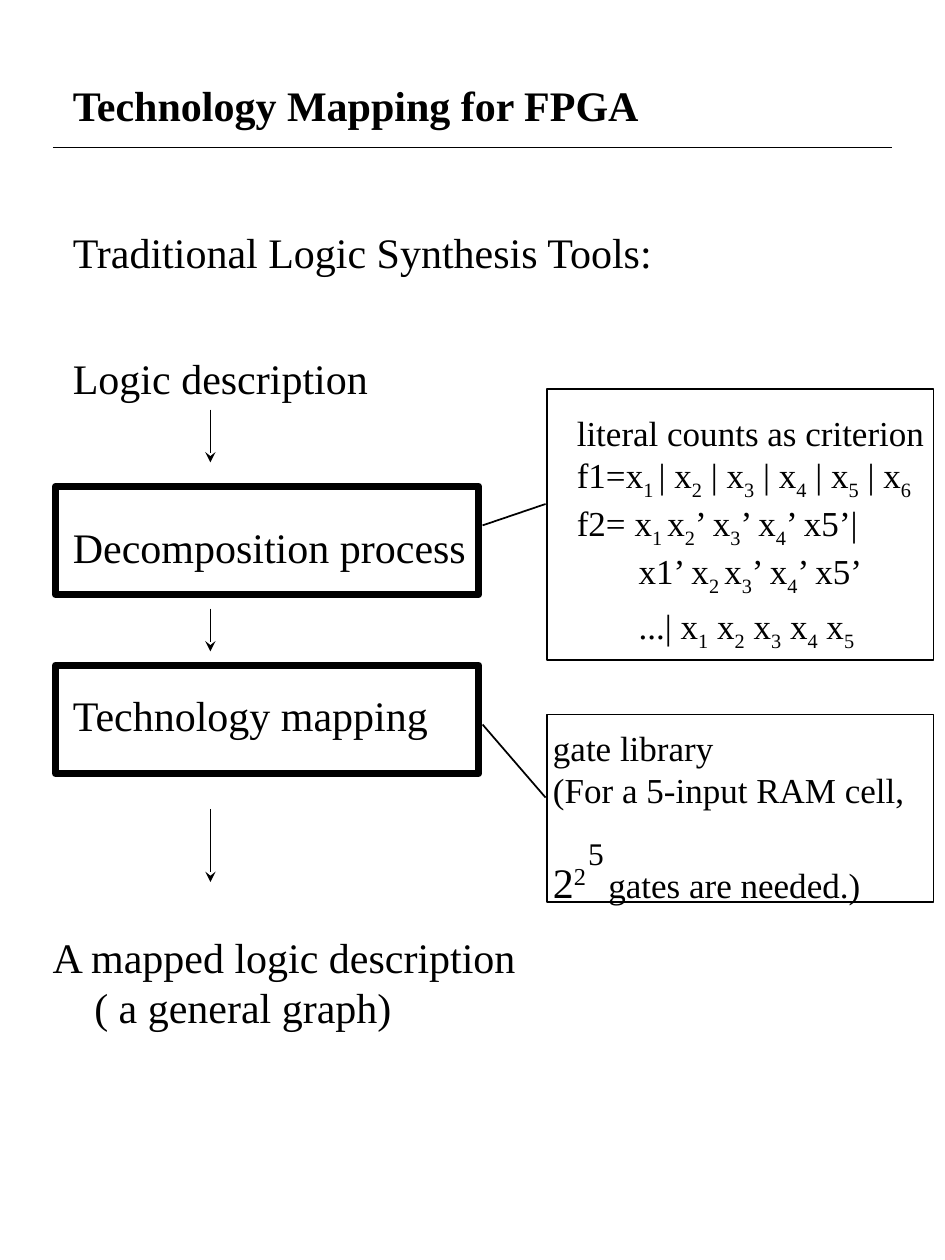
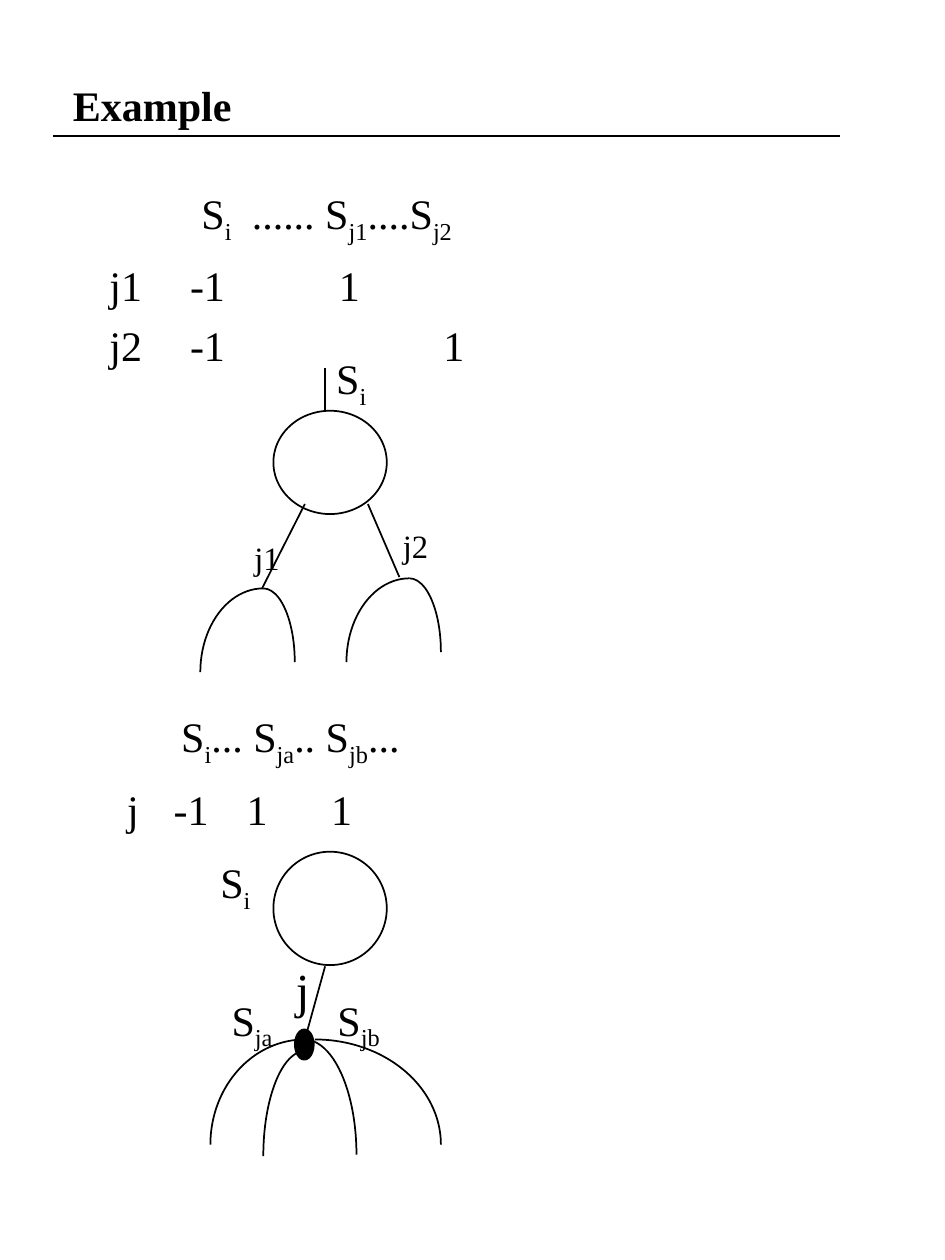
import pptx
import pptx.util
import pptx.dml.color
import pptx.enum.shapes
import pptx.enum.text
import pptx.oxml.ns
from lxml import etree

Inches = pptx.util.Inches
Pt = pptx.util.Pt
qn = pptx.oxml.ns.qn
FONT = "Times New Roman"
HUES = {"ink": "000000", "paper": "FFFFFF"}
INK = pptx.dml.color.RGBColor.from_string(HUES["ink"])
KIND = pptx.enum.shapes.MSO_SHAPE


def write(slide, box, lines, size=24, tabs=(), gaps=(), bold=False):
    frame = slide.shapes.add_textbox(*map(Inches, box)).text_frame
    frame.word_wrap = bool(tabs)
    for row, line in enumerate(lines):
        para = frame.paragraphs[0] if row == 0 else frame.add_paragraph()
        if tabs:
            stops = etree.SubElement(para._p.get_or_add_pPr(), qn("a:tabLst"))
            for tab in tabs:
                etree.SubElement(stops, qn("a:tab"), pos=str(Inches(tab)), algn="l")
        if row < len(gaps) and gaps[row]:
            para.space_before = Pt(gaps[row])
        for part, words in enumerate(line.split("~")):
            if not words:
                continue
            run = para.add_run()
            run.text = words
            run.font.name = FONT
            run.font.size = Pt(size)
            run.font.bold = bold
            run.font.color.rgb = INK
            if part % 2:
                run._r.get_or_add_rPr().set("baseline", "-25000")
    return frame


def link(slide, ends, arrow=False):
    line = slide.shapes.add_connector(
        pptx.enum.shapes.MSO_CONNECTOR.STRAIGHT, *map(Inches, ends))
    line.line.color.rgb = INK
    line.line.width = Pt(1)
    if arrow:
        etree.SubElement(line.line._get_or_add_ln(), qn("a:tailEnd"), type="stealth")
    etree.SubElement(line._element.spPr, qn("a:effectLst"))


deck = pptx.Presentation()
deck.slide_width = Inches(7.5)
deck.slide_height = Inches(10)
flow, tree = [deck.slides.add_slide(deck.slide_layouts[6]) for _ in range(2)]

for slide, title, right, y in [
    (flow, "Technology Mapping for FPGA", 7.08, 1.17),
    (tree, "Example", 6.67, 1.08),
]:
    head = write(slide, (0.48, 0, 6.38, 1.67), [title], bold=True)
    head.vertical_anchor = pptx.enum.text.MSO_ANCHOR.MIDDLE
    link(slide, (0.42, y, right, y))

for slide, kind, box, fill, width in [
    (flow, KIND.RECTANGLE, (4.34, 5.67, 3.07, 1.49), "paper", 1),
    (flow, KIND.RECTANGLE, (4.34, 3.09, 3.07, 2.15), "paper", 1),
    (flow, KIND.RECTANGLE, (0.44, 5.28, 3.36, 0.86), "paper", 4),
    (flow, KIND.RECTANGLE, (0.44, 3.86, 3.36, 0.86), "paper", 4),
    (tree, KIND.OVAL, (2.17, 3.26, 0.9, 0.82), "paper", 1),
    (tree, KIND.OVAL, (2.17, 6.76, 0.9, 0.9), "paper", 1),
    (tree, KIND.OVAL, (2.34, 8.17, 0.15, 0.24), "ink", 1),
]:
    shape = slide.shapes.add_shape(kind, *map(Inches, box))
    shape.shadow.inherit = False
    shape.fill.solid()
    shape.fill.fore_color.rgb = pptx.dml.color.RGBColor.from_string(HUES[fill])
    shape.line.color.rgb = INK
    shape.line.width = Pt(width)

LEFT = (108, 162)
RIGHT = (162, 0)
for box, turn in [
    ((1.59, 4.67, 1, 1.33), LEFT),
    ((1.84, 4.67, 0.5, 1.17), RIGHT),
    ((2.75, 4.59, 1, 1.33), LEFT),
    ((3, 4.59, 0.5, 1.17), RIGHT),
    ((1.67, 8.25, 1.5, 1.67), LEFT),
    ((2, 8.25, 0.83, 1.83), RIGHT),
    ((2.09, 8.34, 0.67, 1.67), LEFT),
    ((1.5, 8.25, 2, 1.67), RIGHT),
]:
    arc = tree.shapes.add_shape(KIND.ARC, *map(Inches, box))
    arc.adjustments[0], arc.adjustments[1] = turn
    arc.shadow.inherit = False
    arc.fill.background()
    arc.line.color.rgb = INK
    arc.line.width = Pt(1)

for top, end in [(3.25, 3.67), (4.83, 5.17), (6.42, 7)]:
    link(flow, (1.67, top, 1.67, end), arrow=True)

for slide, ends in [
    (flow, (3.83, 4.17, 4.33, 4)),
    (flow, (3.83, 5.75, 4.33, 6.33)),
    (tree, (2.58, 2.92, 2.58, 3.25)),
    (tree, (2.42, 4, 2.08, 4.67)),
    (tree, (2.92, 4, 3.17, 4.58)),
    (tree, (2.58, 7.67, 2.42, 8.25)),
]:
    link(slide, ends)

for slide, box, words, size in [
    (flow, (0.48, 1.75, 4.84, 0.5), "Traditional Logic Synthesis Tools:", 24),
    (flow, (0.48, 2.75, 2.54, 0.5), "Logic description", 24),
    (flow, (0.48, 4.09, 3.32, 0.5), "Decomposition process", 24),
    (flow, (0.48, 5.42, 3.04, 0.5), "Technology mapping", 24),
    (flow, (4.57, 6.57, 0.33, 0.4), "5", 18),
    (tree, (2.57, 2.75, 0.44, 0.56), "S~i~", 24),
    (tree, (1.92, 3.92, 0.4, 0.71), "~j1~", 32),
    (tree, (3.1, 3.83, 0.4, 0.71), "~j2~", 32),
    (tree, (1.34, 5.59, 1.94, 0.56), "S~i~... S~ja~.. S~jb~...", 24),
    (tree, (1.65, 6.75, 0.44, 0.56), "S~i~", 24),
    (tree, (1.74, 7.84, 0.53, 0.56), "S~ja~", 24),
    (tree, (2.58, 7.84, 0.54, 0.56), "S~jb~", 24),
    (tree, (2.25, 7.57, 0.31, 0.57), "j", 28),
]:
    write(slide, box, [words], size)

write(flow, (0.32, 7.34, 3.9, 0.9),
      ["A mapped logic description", "\t( a general graph)"], tabs=[0.33])
write(flow, (4.48, 3.22, 3, 2.01), [
    "literal counts as criterion",
    "f1=x~1 ~| x~2~ | x~3~ | x~4~ | x~5~ | x~6~",
    "f2= x~1 ~x~2~’ x~3~’ x~4~’ x5’|",
    "\tx1’ x~2 ~x~3~’ x~4~’ x5’",
    "\t...| x~1~ x~2~ x~3~ x~4~ x~5~",
], 20, tabs=[0.49], gaps=[0, 0, 0, 0, 4])

gate = write(flow, (4.29, 5.72, 3.05, 1.5), [
    "gate library",
    "(For a 5-input RAM cell,",
    "2~2~\tgates are needed.)",
], 20, tabs=[0.44], gaps=[0, 0, 26])
base, power = gate.paragraphs[2].runs[:2]
base.font.size = power.font.size = Pt(24)
power._r.get_or_add_rPr().set("baseline", "30000")

table = write(tree, (0, 1.44, 3.82, 1.52), ["\tS~i~\t...... S~j1~....S~j2~"], tabs=[1.5, 1.9])
for top, row, tabs in [
    (2.01, "\tj1\t-1\t1", [0.77, 1.41, 2.59]),
    (2.49, "\tj2\t-1\t1", [0.77, 1.41, 3.42]),
]:
    write(tree, (0, top, 3.82, 0.5), [row], tabs=tabs)
write(tree, (0.91, 6.17, 2.02, 0.56), ["j\t-1\t1\t1"], tabs=[0.37, 0.95, 1.62])

deck.save("out.pptx")
